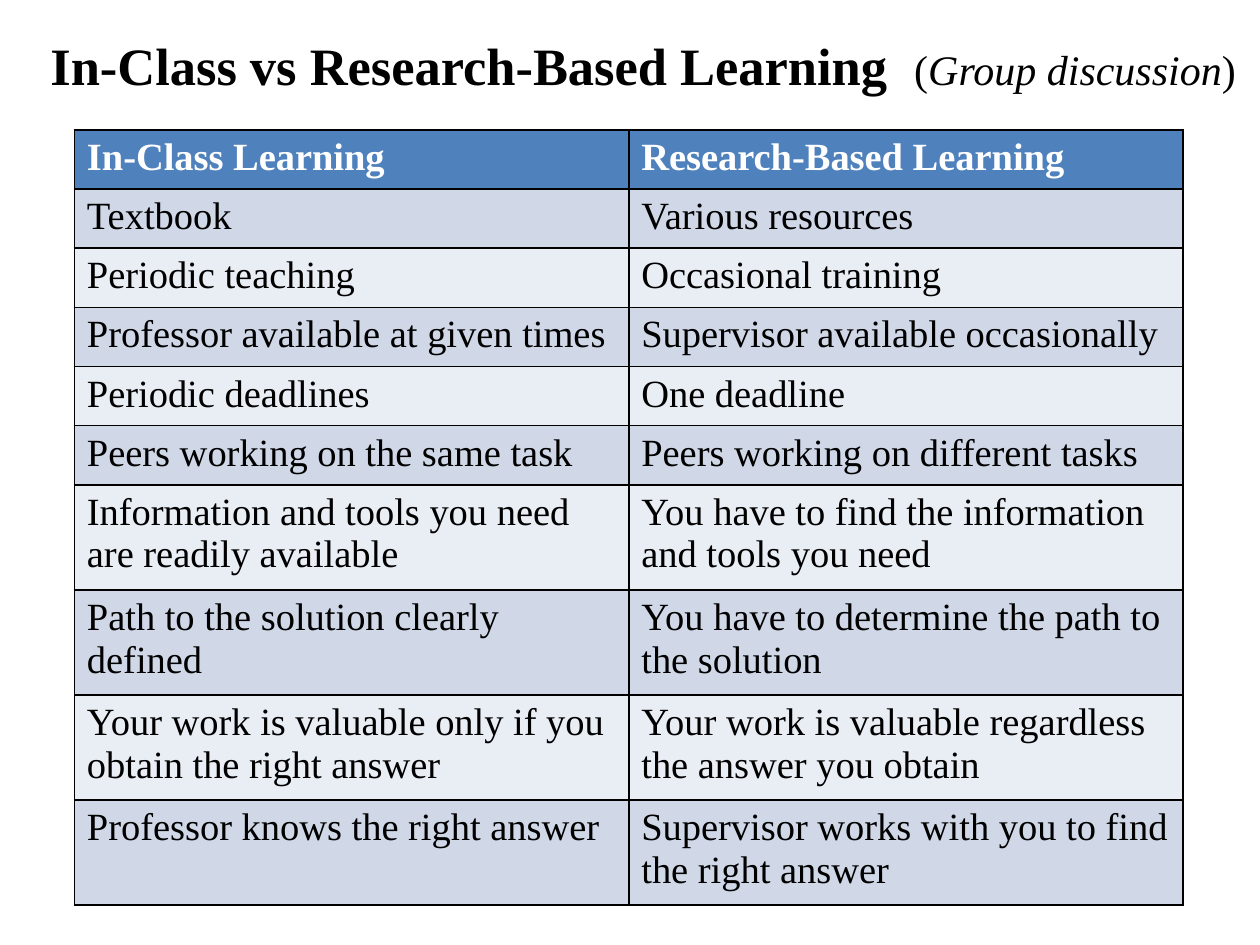
"""Build a slide that compares in-class and research-based learning."""
from lxml.etree import SubElement
from pptx import Presentation
from pptx.dml.color import RGBColor
from pptx.enum.text import MSO_ANCHOR, MSO_AUTO_SIZE, PP_ALIGN
from pptx.oxml.ns import qn
from pptx.util import Inches, Pt

FACE = "Times New Roman"
HUES = {"head": "4F81BD", "odd": "D0D8E8", "even": "E9EDF4",
        "ink": "000000", "light": "FFFFFF"}
ROWS = [
    ("In-Class Learning", "Research-Based Learning"),
    ("Textbook", "Various resources"),
    ("Periodic teaching", "Occasional training"),
    ("Professor available at given times", "Supervisor available occasionally"),
    ("Periodic deadlines", "One deadline"),
    ("Peers working on the same task", "Peers working on different tasks"),
    ("Information and tools you need are readily available",
     "You have to find the information and tools you need"),
    ("Path to the solution clearly defined",
     "You have to determine the path to the solution"),
    ("Your work is valuable only if you obtain the right answer",
     "Your work is valuable regardless the answer you obtain"),
    ("Professor knows the right answer",
     "Supervisor works with you to find the right answer"),
]
SHORT, TALL, SPLIT = Inches(0.47), Inches(0.83), 6


def style(font, size, hue, bold):
    font.name, font.size, font.bold = FACE, Pt(size), bold
    font.color.rgb = RGBColor.from_string(HUES[hue])


def edge(cell):
    props = cell._tc.get_or_add_tcPr()
    for side in ("a:lnL", "a:lnR", "a:lnT", "a:lnB"):
        line = SubElement(props, qn(side), w=str(Pt(1)))
        fill = SubElement(line, qn("a:solidFill"))
        SubElement(fill, qn("a:srgbClr"), val=HUES["ink"])


deck = Presentation()
deck.slide_width, deck.slide_height = Inches(10), Inches(7.5)
slide = deck.slides.add_slide(deck.slide_layouts[5])

title = slide.shapes.title
title.left, title.top = Inches(0.3), Inches(0.21)
title.width, title.height = Inches(9.65), Inches(0.61)
frame = title.text_frame
frame.word_wrap = False
frame.auto_size = MSO_AUTO_SIZE.SHAPE_TO_FIT_TEXT
frame.vertical_anchor = MSO_ANCHOR.TOP
para = frame.paragraphs[0]
para.alignment = PP_ALIGN.LEFT
for text, size, bold, slant in [
    ("In-Class vs Research-Based Learning  ", 30, True, False),
    ("(", 24, False, False),
    ("Group discussion", 24, False, True),
    (")", 24, False, False),
]:
    run = para.add_run()
    run.text = text
    style(run.font, size, "ink", bold)
    run.font.italic = slant

high = SPLIT * SHORT + (len(ROWS) - SPLIT) * TALL
grid = slide.shapes.add_table(len(ROWS), 2, Inches(0.59), Inches(1.03),
                              Inches(8.8), high).table
for r, words in enumerate(ROWS):
    grid.rows[r].height = SHORT if r < SPLIT else TALL
    hue = "head" if r == 0 else "odd" if r % 2 else "even"
    for c, text in enumerate(words):
        cell = grid.cell(r, c)
        cell.text = text
        style(cell.text_frame.paragraphs[0].font, 22,
              "ink" if r else "light", r == 0)
        edge(cell)
        cell.fill.solid()
        cell.fill.fore_color.rgb = RGBColor.from_string(HUES[hue])

deck.save("out.pptx")
